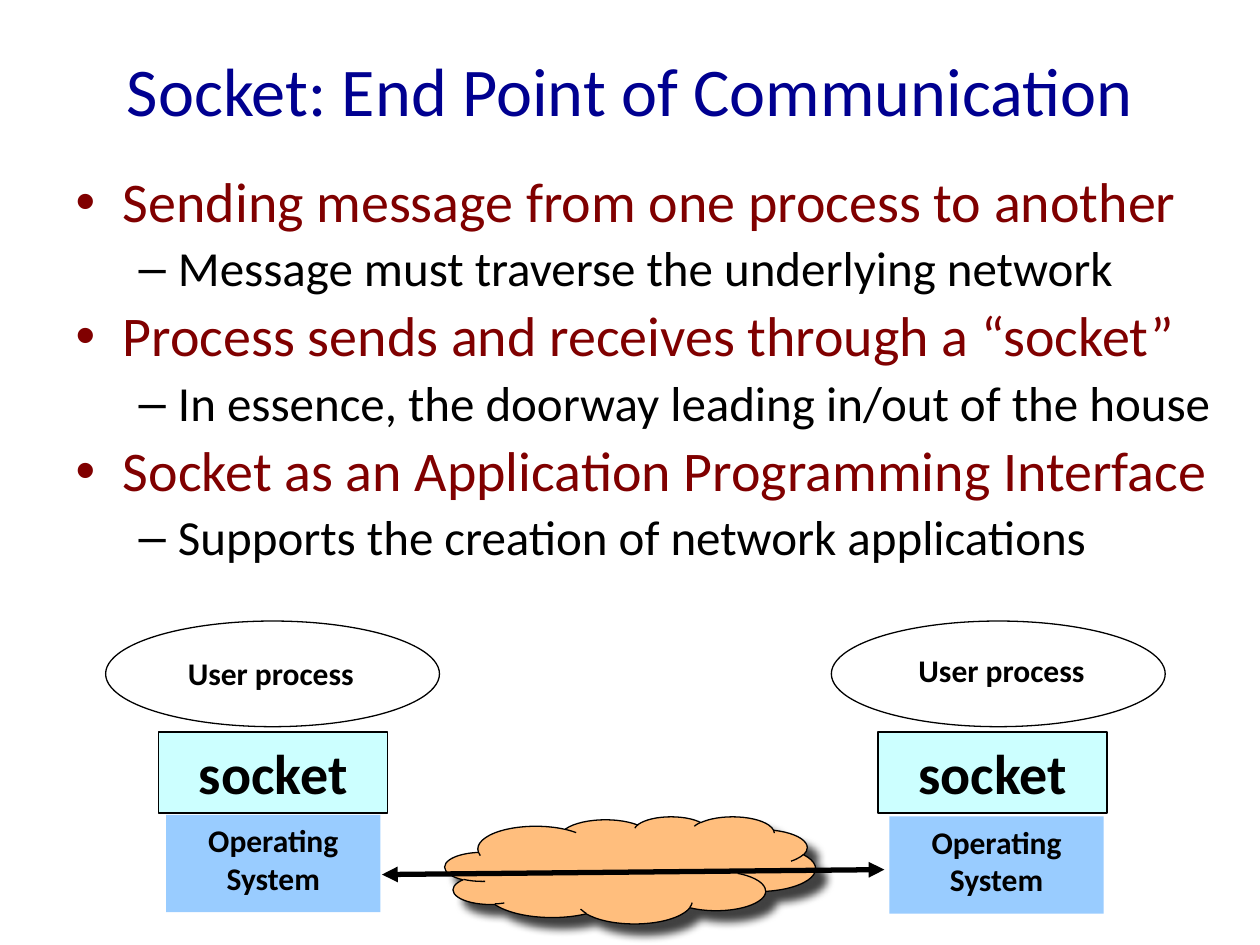
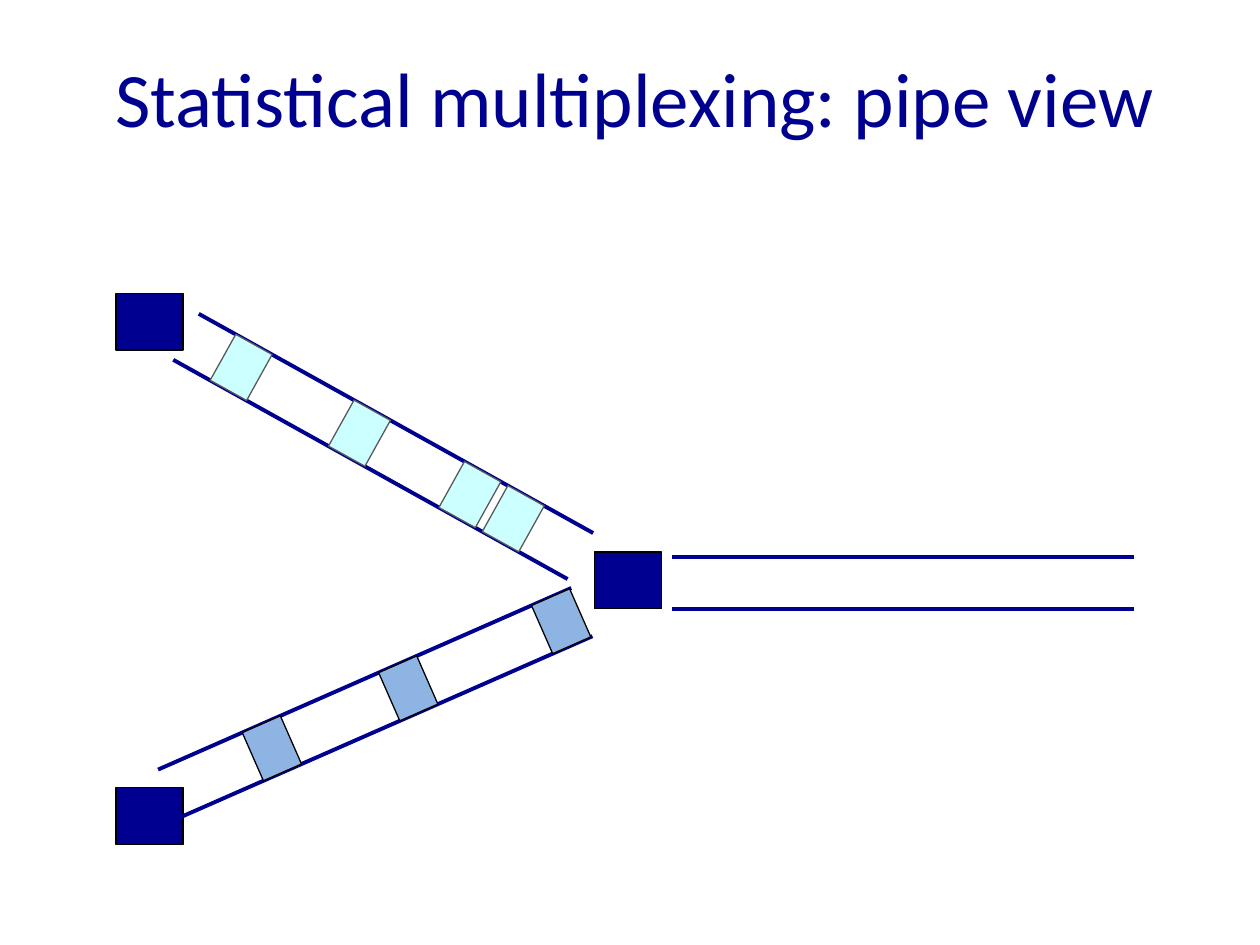
import math

import lxml.etree
import pptx
import pptx.dml.color
import pptx.enum.shapes
import pptx.enum.text
import pptx.oxml
import pptx.oxml.ns
import pptx.util

Cm = pptx.util.Cm
Pt = pptx.util.Pt
RGBColor = pptx.dml.color.RGBColor
Shape = pptx.enum.shapes.MSO_SHAPE
qn = pptx.oxml.ns.qn

NAVY = RGBColor(0x00, 0x00, 0x90)
MAROON = RGBColor(0x80, 0x00, 0x00)
BLACK = RGBColor(0x00, 0x00, 0x00)
GREY = RGBColor(0x59, 0x59, 0x59)
PALE_CYAN = RGBColor(0xCC, 0xFF, 0xFF)
SKY_BLUE = RGBColor(0x99, 0xCC, 0xFF)
SOFT_BLUE = RGBColor(0x8E, 0xB4, 0xE3)
ORANGE = RGBColor(0xFF, 0xBE, 0x7D)

FONT = "Calibri"
TITLE_AND_BODY, TITLE_ONLY = 1, 5
PIPE_WIDTH = 1.06
PACKET_LENGTH = 0.84
ROUTER_SIZE = (1.35, 1.14)


class Deck:
    """Holds the shared style and the slide being built; lengths are in cm."""

    def __init__(self):
        self.presentation = pptx.Presentation()
        self.presentation.slide_width = Cm(25.4)
        self.presentation.slide_height = Cm(19.05)
        self.slide = None

    def add_slide(self, layout):
        layouts = self.presentation.slide_layouts
        self.slide = self.presentation.slides.add_slide(layouts[layout])

    def place(self, shape, left, top, width, height):
        shape.left, shape.top = Cm(left), Cm(top)
        shape.width, shape.height = Cm(width), Cm(height)

    def style(self, paragraph, size, color, bold=False):
        font = paragraph.font
        font.name, font.size, font.bold = FONT, Pt(size), bold
        font.color.rgb = color

    def title(self, text, size, *frame):
        shape = self.slide.shapes.title
        self.place(shape, *frame)
        shape.text_frame.text = text
        shape.text_frame.auto_size = pptx.enum.text.MSO_AUTO_SIZE.NONE
        shape.text_frame.vertical_anchor = pptx.enum.text.MSO_ANCHOR.MIDDLE
        paragraph = shape.text_frame.paragraphs[0]
        paragraph.alignment = pptx.enum.text.PP_ALIGN.CENTER
        self.style(paragraph, size, NAVY)

    def body(self, items, *frame):
        """Fill the list placeholder; items are (level, text) pairs."""
        shape = self.slide.placeholders[1]
        self.place(shape, *frame)
        text_frame = shape.text_frame
        text_frame.auto_size = pptx.enum.text.MSO_AUTO_SIZE.NONE
        for index, (level, text) in enumerate(items):
            paragraph = text_frame.add_paragraph() if index else text_frame.paragraphs[0]
            paragraph.text = text
            paragraph.level = level
            paragraph.line_spacing = 0.9
            size, color = ((32, MAROON), (28, BLACK))[level]
            paragraph.space_before = Pt(0.2 * size if index else 0)
            self.style(paragraph, size, color)

    def label(self, shape, text, size):
        """Write bold centred lines that do not wrap."""
        text_frame = shape.text_frame
        text_frame.text = text
        text_frame.word_wrap = False
        text_frame.auto_size = pptx.enum.text.MSO_AUTO_SIZE.SHAPE_TO_FIT_TEXT
        text_frame.vertical_anchor = pptx.enum.text.MSO_ANCHOR.TOP
        for paragraph in text_frame.paragraphs:
            paragraph.alignment = pptx.enum.text.PP_ALIGN.CENTER
            self.style(paragraph, size, BLACK, bold=True)

    def text_box(self, text, size, *frame):
        self.label(self.slide.shapes.add_textbox(*map(Cm, frame)), text, size)

    def shape(self, kind, frame, fill=None, line=None, text=None, size=18):
        shape = self.slide.shapes.add_shape(kind, *map(Cm, frame))
        shape.shadow.inherit = False
        if fill is None:
            shape.fill.background()
        else:
            shape.fill.solid()
            shape.fill.fore_color.rgb = fill
        if line is None:
            shape.line.fill.background()
        else:
            shape.line.color.rgb = line
            shape.line.width = Pt(0.75)
        if text:
            self.label(shape, text, size)
        return shape

    def drop_shadow(self, shape):
        effects = shape._element.spPr.find(qn("a:effectLst"))
        shadow = lxml.etree.SubElement(
            effects, qn("a:outerShdw"), blurRad=str(Pt(5)), dist=str(Pt(8.5)),
            dir=str(45 * 60000), algn="ctr", rotWithShape="0")
        color = lxml.etree.SubElement(shadow, qn("a:srgbClr"), val=str(BLACK))
        lxml.etree.SubElement(color, qn("a:alpha"), val="75000")

    def line(self, start, end, color, width, arrows=False):
        connector = self.slide.shapes.add_connector(
            pptx.enum.shapes.MSO_CONNECTOR.STRAIGHT, *map(Cm, (*start, *end)))
        connector.line.color.rgb = color
        connector.line.width = Pt(width)
        if arrows:
            outline = connector.line._get_or_add_ln()
            for tag in ("a:headEnd", "a:tailEnd"):
                lxml.etree.SubElement(outline, qn(tag), type="triangle")
        lxml.etree.SubElement(connector._element.spPr, qn("a:effectLst"))

    def pipe(self, start, end, packets=(), fill=None, line=None):
        """Two parallel walls around an axis, with packets at fractions of it."""
        (x, y), (end_x, end_y) = start, end
        angle = math.atan2(end_y - y, end_x - x)
        for side in (0.5, -0.5):
            shift_x = side * PIPE_WIDTH * math.sin(angle)
            shift_y = -side * PIPE_WIDTH * math.cos(angle)
            self.line((x + shift_x, y + shift_y),
                      (end_x + shift_x, end_y + shift_y), NAVY, 2.25)
        for fraction in packets:
            left = x + fraction * (end_x - x) - PACKET_LENGTH / 2
            top = y + fraction * (end_y - y) - PIPE_WIDTH / 2
            packet = self.shape(Shape.RECTANGLE, (left, top, PACKET_LENGTH, PIPE_WIDTH),
                                fill, line)
            packet.rotation = math.degrees(angle) % 360


def build_socket_slide(deck):
    deck.add_slide(TITLE_AND_BODY)
    deck.title("Socket: End Point of Communication", 39, 0, 0.2, 25.4, 3.18)
    deck.body([
        (0, "Sending message from one process to another"),
        (1, "Message must traverse the underlying network"),
        (0, "Process sends and receives through a “socket”"),
        (1, "In essence, the doorway leading in/out of the house"),
        (0, "Socket as an Application Programming Interface"),
        (1, "Supports the creation of network applications"),
    ], 1.27, 3.38, 23.5, 8.59)

    # The two hosts: process, socket, operating system
    hosts = [
        (2.13, 3.2, (3.53, 13.06), (3.35, 16.43)),
        (16.76, 17.7, (18.26, 13.0), (17.93, 16.46)),
    ]
    for process_left, socket_left, label_corner, system_corner in hosts:
        deck.shape(Shape.OVAL, (process_left, 12.52, 6.73, 2.13), line=BLACK)
        deck.shape(Shape.RECTANGLE, (socket_left, 14.76, 4.62, 1.63),
                   PALE_CYAN, BLACK, "socket", 32)
        deck.text_box("User process", 18, *label_corner, 3.86, 1.02)
        deck.shape(Shape.RECTANGLE, (*system_corner, 4.32, 1.96),
                   SKY_BLUE, text="Operating\nSystem")

    # The network between them
    cloud = deck.shape(Shape.CLOUD, (8.97, 16.46, 7.47, 2.16), ORANGE, BLACK)
    deck.drop_shadow(cloud)
    deck.line((7.7, 17.63), (17.83, 17.53), BLACK, 3, arrows=True)


def build_multiplexing_slide(deck):
    deck.add_slide(TITLE_ONLY)
    deck.title("Statistical multiplexing: pipe view", 44, 1.27, 0.33, 23.06, 3.25)

    # Routers
    for corner in ((11.99, 11.13), (2.34, 5.92), (2.34, 15.88)):
        deck.shape(Shape.RECTANGLE, (*corner, *ROUTER_SIZE), NAVY, BLACK)

    # Incoming pipes with their packets
    deck.pipe((3.75, 6.79), (11.7, 11.21), (0.83, 0.72, 0.44, 0.14), PALE_CYAN, GREY)
    deck.pipe((3.4, 16), (11.73, 12.34), (0.25, 0.95, 0.58), SOFT_BLUE, BLACK)

    # Outgoing pipe, in two overlapping stretches
    for left in (13.54, 13.76):
        deck.pipe((left, 11.75), (left + 9.1, 11.75))


def main():
    deck = Deck()
    build_socket_slide(deck)
    build_multiplexing_slide(deck)
    deck.presentation.save("out.pptx")


if __name__ == "__main__":
    main()
